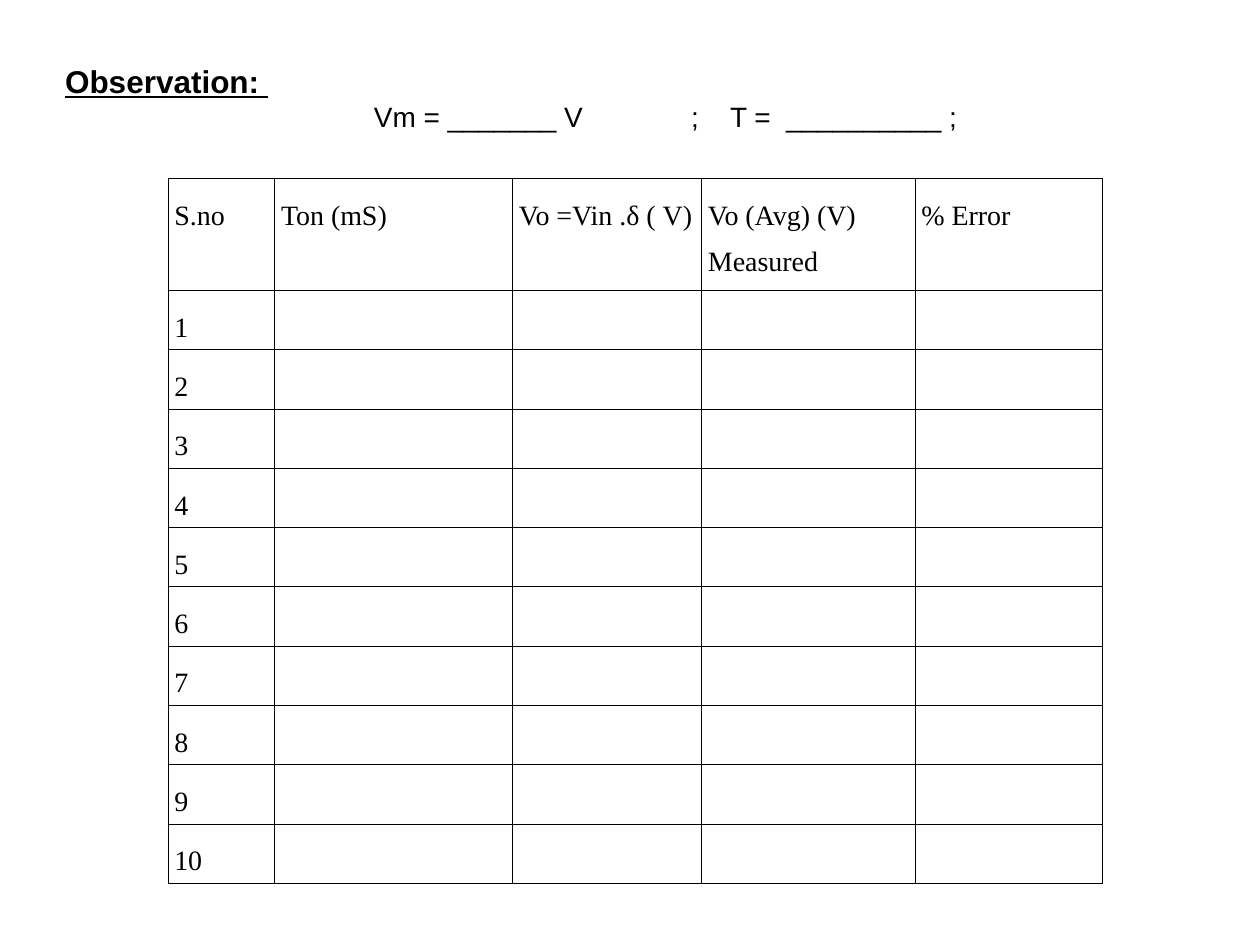
from dataclasses import dataclass

import pptx
import pptx.dml.color
import pptx.enum.text
import pptx.oxml
import pptx.oxml.ns
import pptx.util

Pt = pptx.util.Pt
COLORS = {"ink": "000000"}


@dataclass(frozen=True)
class TextStyle:
    font: str
    size: float
    bold: bool = False
    underline: bool = False


@dataclass(frozen=True)
class Column:
    heading: tuple[str, ...]
    width: float


HEADING = TextStyle("Arial", 18, bold=True, underline=True)
READINGS = TextStyle("Arial", 16)
CELL = TextStyle("Times New Roman", 16)

COLUMNS = [
    Column(("S.no",), 61),
    Column(("Ton (mS)",), 136),
    Column(("Vo =Vin .δ ( V)",), 108),
    Column(("Vo (Avg) (V)", "Measured"), 122),
    Column(("% Error",), 107),
]
READING_COUNT = 10
HEADER_HEIGHT, ROW_HEIGHT = 64, 32
TABLE_LEFT, TABLE_TOP = 96, 102
CELL_MARGIN = 3.6
BORDER_WIDTH = 0.45
READING_TABS = (176.5, 357.7, 380)


def add_span(para, text: str, style: TextStyle) -> None:
    span = para.add_run()
    span.text = text
    span.font.name = style.font
    span.font.size = Pt(style.size)
    span.font.bold = style.bold
    span.font.underline = style.underline
    span.font.color.rgb = pptx.dml.color.RGBColor.from_string(COLORS["ink"])


def add_tabs(para, stops: tuple[float, ...]) -> None:
    properties = para._p.get_or_add_pPr()
    tab_list = pptx.oxml.ns.qn("a:tabLst")
    tabs = properties.makeelement(tab_list, {})
    for stop in stops:
        tab = tabs.makeelement(pptx.oxml.ns.qn("a:tab"), {"pos": str(int(Pt(stop))), "algn": "l"})
        tabs.append(tab)
    properties.append(tabs)


def add_borders(cell) -> None:
    """Rule all four sides; called before the fill, which must follow the lines."""
    properties = cell._tc.get_or_add_tcPr()
    for side in ("lnL", "lnR", "lnT", "lnB"):
        properties.append(pptx.oxml.parse_xml(
            f'<a:{side} {pptx.oxml.ns.nsdecls("a")} w="{int(Pt(BORDER_WIDTH))}">'
            f'<a:solidFill><a:srgbClr val="{COLORS["ink"]}"/></a:solidFill></a:{side}>'
        ))


def write_cell(cell, lines: tuple[str, ...]) -> None:
    add_borders(cell)
    cell.fill.background()
    cell.margin_left = cell.margin_right = Pt(CELL_MARGIN)
    cell.margin_top = cell.margin_bottom = Pt(CELL_MARGIN)
    for index, line in enumerate(lines):
        para = cell.text_frame.add_paragraph() if index else cell.text_frame.paragraphs[0]
        para.line_spacing = 1.5
        add_span(para, line, CELL)


def fill_title(title) -> None:
    title.left, title.top, title.width, title.height = Pt(30), Pt(30), Pt(630), Pt(77)
    frame = title.text_frame
    frame.word_wrap = True
    frame.auto_size = pptx.enum.text.MSO_AUTO_SIZE.NONE
    frame.vertical_anchor = pptx.enum.text.MSO_ANCHOR.TOP
    frame.margin_left = frame.margin_right = Pt(7.2)
    frame.margin_top, frame.margin_bottom = Pt(5.4), Pt(3.6)
    heading, readings = frame.paragraphs[0], frame.add_paragraph()
    add_tabs(readings, READING_TABS)
    for para in (heading, readings):
        para.alignment = pptx.enum.text.PP_ALIGN.LEFT
    add_span(heading, "Observation: ", HEADING)
    add_span(readings, "\tVm = _______ V\t;\tT =  __________ ;", READINGS)


def add_observation_table(page) -> None:
    rows = [column.heading for column in COLUMNS]
    height = HEADER_HEIGHT + READING_COUNT * ROW_HEIGHT
    table = page.shapes.add_table(
        READING_COUNT + 1, len(COLUMNS), Pt(TABLE_LEFT), Pt(TABLE_TOP),
        Pt(sum(column.width for column in COLUMNS)), Pt(height),
    ).table
    table.first_row = table.horz_banding = False
    for index, column in enumerate(COLUMNS):
        table.columns[index].width = Pt(column.width)
        write_cell(table.cell(0, index), rows[index])
    table.rows[0].height = Pt(HEADER_HEIGHT)
    for number in range(1, READING_COUNT + 1):
        table.rows[number].height = Pt(ROW_HEIGHT)
        for index in range(len(COLUMNS)):
            write_cell(table.cell(number, index), () if index else (str(number),))


def main() -> None:
    deck = pptx.Presentation()
    deck.slide_width, deck.slide_height = Pt(720), Pt(540)
    page = deck.slides.add_slide(deck.slide_layouts.get_by_name("Title Only"))
    fill_title(page.shapes.title)
    add_observation_table(page)
    deck.save("out.pptx")


if __name__ == "__main__":
    main()
